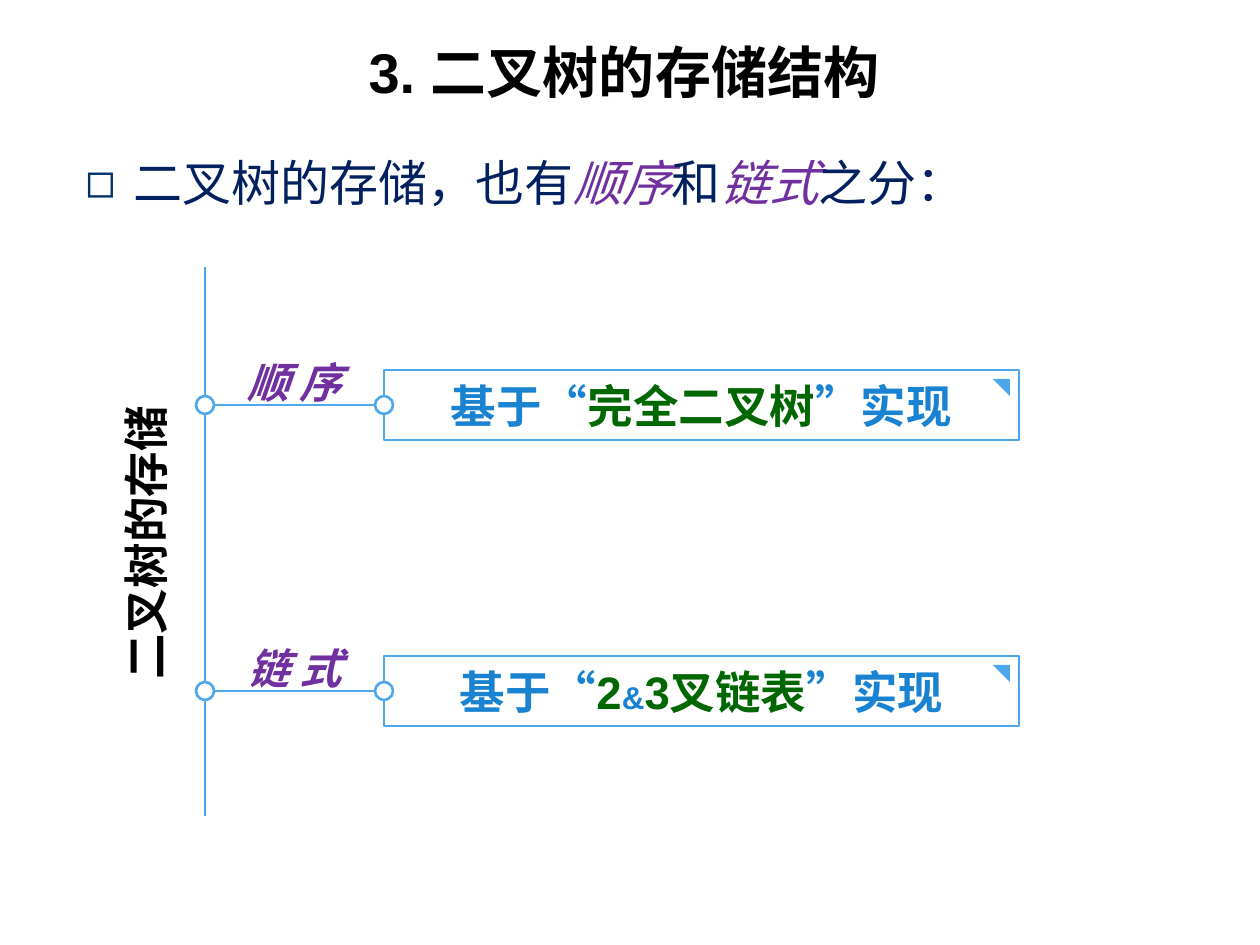
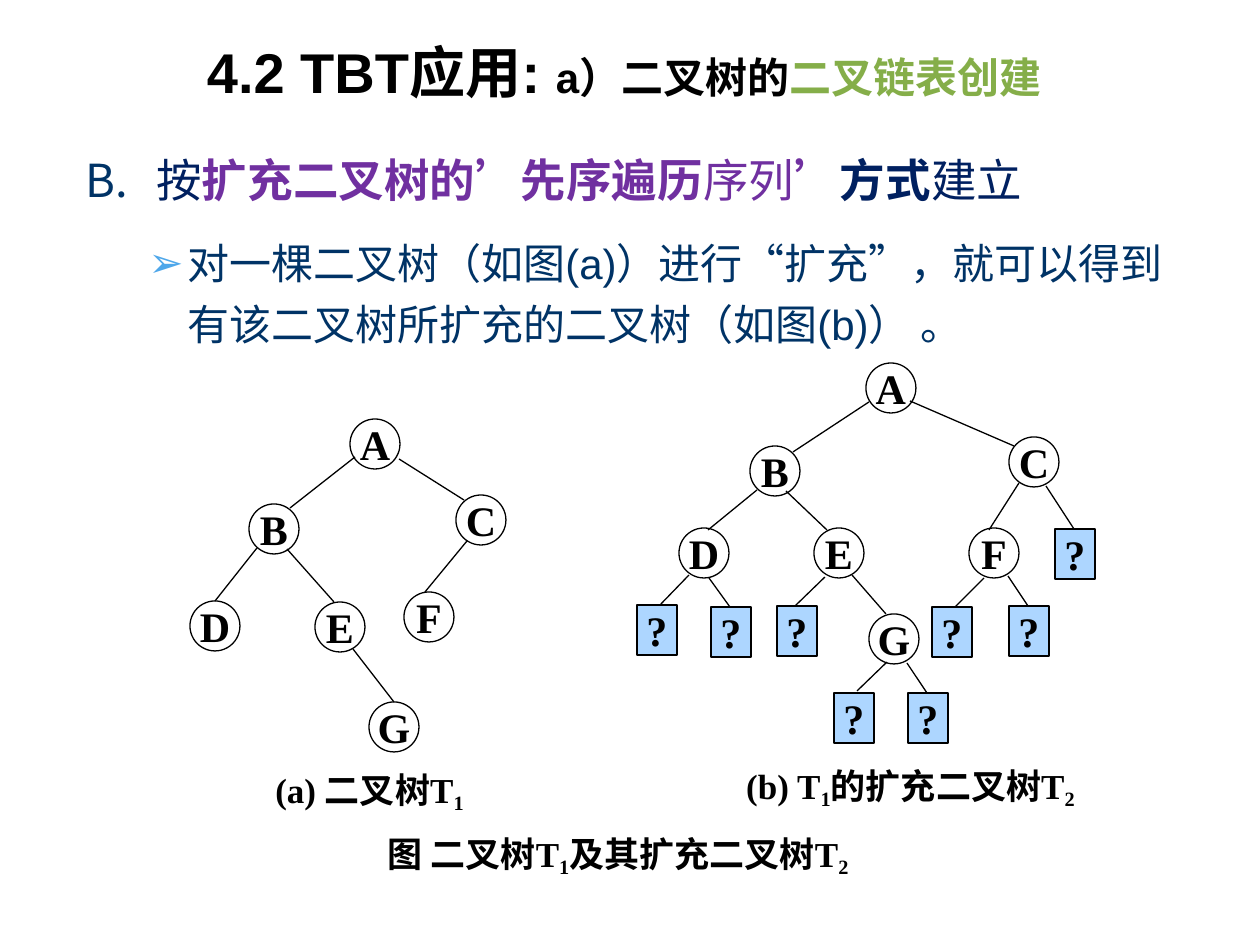
from pptx import Presentation
from pptx import util as u
from pptx.dml.color import RGBColor
from pptx.enum import shapes, text
from pptx.oxml.ns import qn
from lxml import etree

PX = 914400 / 126
HUES = dict(ink="000000", paper="FFFFFF", navy="002060", deep="003366",
            sky="4EA7EA", blue="1982D1", plum="7030A0", green="006600",
            leaf="85AE49", pale="ADD6FF")
SERIF = "Times New Roman"
KIND = shapes.MSO_SHAPE
TITLE = (136, 38, 976, 67)
BODY = (73, 135, 1129, 747)
SUB = dict(face=SERIF, sub=True)

TREE_A = [
    ("A", 350, 419, None),
    ("B", 249, 504, (355, 457, 290, 508)),
    ("C", 456, 495, (399, 459, 464, 500)),
    ("D", 190, 601, (257, 548, 215, 601)),
    ("E", 315, 602, (287, 549, 334, 602)),
    ("F", 404, 592, (467, 541, 425, 592)),
    ("G", 369, 702, (353, 649, 394, 702)),
]
TREE_B = [
    ("A", 866, 363, None),
    ("B", 750, 446, (869, 402, 793, 452)),
    ("C", 1009, 437, (910, 401, 1014, 446)),
    ("D", 679, 528, (757, 490, 708, 530)),
    ("E", 814, 528, (786, 491, 827, 530)),
    ("F", 969, 528, (1019, 483, 989, 530)),
    ("G", 869, 614, (852, 575, 886, 614)),
    ("?", 1055, 529, (1046, 486, 1074, 529)),
    ("?", 637, 605, (689, 575, 660, 605)),
    ("?", 711, 607, (709, 578, 730, 607)),
    ("?", 777, 606, (825, 577, 795, 606)),
    ("?", 932, 607, (984, 578, 955, 607)),
    ("?", 1009, 606, (1008, 576, 1028, 606)),
    ("?", 834, 693, (887, 662, 857, 691)),
    ("?", 908, 693, (907, 663, 927, 693)),
]


def px(*sizes):
    """Turn px lengths into EMU."""
    return [u.Emu(round(size * PX)) for size in sizes]


def rgb(hue):
    """Look up a colour by name."""
    return RGBColor.from_string(HUES[hue])


def style(font, face="Arial", size=24, hue="ink", bold=False, slant=False, sub=False):
    """Set every trait of a font."""
    font.name, font.size = face, u.Pt(size)
    font.bold, font.italic = bold, slant
    font.color.rgb = rgb(hue)


class Deck:
    """Hold the style and the current slide."""

    def __init__(self):
        """Start an empty deck."""
        self.prs = Presentation()
        self.prs.slide_width, self.prs.slide_height = px(1260, 945)

    def page(self, *runs):
        """Add a blank slide with a centred title."""
        self.slide = self.prs.slides.add_slide(self.prs.slide_layouts[6])
        self.label(TITLE, runs, size=32, bold=True)

    def fill(self, par, runs, align=text.PP_ALIGN.CENTER, lead=None, **base):
        """Write runs, each a text and its own traits, into a paragraph."""
        par.alignment = align
        if lead:
            par.line_spacing = lead
        style(par.font, **base)
        for words, own in runs:
            run = par.add_run()
            run.text = words
            traits = {**base, **own}
            style(run.font, **traits)
            if traits.get("sub"):
                run._r.get_or_add_rPr().set("baseline", "-20000")

    def frame(self, shape, inset=None, wrap=True, anchor=text.MSO_ANCHOR.MIDDLE):
        """Prepare the text frame of a shape."""
        frame = shape.text_frame
        frame.word_wrap, frame.vertical_anchor = wrap, anchor
        if inset is not None:
            frame.margin_left = frame.margin_right = u.Emu(inset)
            frame.margin_top = frame.margin_bottom = u.Emu(inset)
        return frame

    def label(self, box, runs, inset=None, wrap=True, **traits):
        """Add a text box of one paragraph."""
        shape = self.slide.shapes.add_textbox(*px(*box))
        self.fill(self.frame(shape, inset, wrap).paragraphs[0], runs, **traits)
        return shape

    def body(self):
        """Add the main text box."""
        shape = self.slide.shapes.add_textbox(*px(*BODY))
        return self.frame(shape, anchor=text.MSO_ANCHOR.TOP)

    def item(self, par, runs, left, hang, mark, tint="deep", level=0, **base):
        """Write a bulleted or lettered paragraph."""
        par.level, par.space_before = level, u.Pt(12)
        self.fill(par, runs, text.PP_ALIGN.LEFT, 1.2, **base)
        props = par._p.get_or_add_pPr()
        left, hang = px(left, hang)
        props.set("marL", str(left))
        props.set("indent", str(-hang))
        tag, traits = mark
        bullet = etree.Element(qn("a:buClr"))
        etree.SubElement(bullet, qn("a:srgbClr"), val=HUES[tint])
        font = etree.Element(qn("a:buFont"), typeface="Arial")
        for spot, part in enumerate((bullet, font, etree.Element(qn(tag), traits))):
            props.insert(len(props) - 1, part)

    def shape(self, kind, box, fill=None, line=None, width=1.5):
        """Add a preset shape."""
        shape = self.slide.shapes.add_shape(kind, *px(*box))
        shape.shadow.inherit = False
        if fill:
            shape.fill.solid()
            shape.fill.fore_color.rgb = rgb(fill)
        else:
            shape.fill.background()
        if line:
            shape.line.color.rgb = rgb(line)
            shape.line.width = u.Pt(width)
        else:
            shape.line.fill.background()
        return shape

    def line(self, ends, hue="ink", width=0.75):
        """Add a straight line."""
        line = self.slide.shapes.add_connector(shapes.MSO_CONNECTOR.STRAIGHT, *px(*ends))
        line.line.color.rgb, line.line.width = rgb(hue), u.Pt(width)
        etree.SubElement(line._element.spPr, qn("a:effectLst"))
        return line

    def branch(self, top, name, runs):
        """Add a named branch that ends in a box."""
        mid = top + 35
        box = self.shape(KIND.RECTANGLE, (384, top, 635, 70), "paper", "sky")
        self.fill(self.frame(box, 0).paragraphs[0], runs, size=26, hue="blue", bold=True)
        flag = self.shape(KIND.RIGHT_TRIANGLE, (993, top + 9, 17, 17), "sky")
        flag.rotation = 180
        self.line((384, mid, 195, mid), "sky", 1.5).begin_connect(box, 1)
        for x in (205, 384):
            self.shape(KIND.OVAL, (x - 9, mid - 9, 18, 18), "paper", "sky")
        self.label((205, mid - 62, 179, 62), [(name, {})], 0, lead=1.3,
                   hue="plum", bold=True, slant=True)

    def tree(self, nodes):
        """Draw nodes, each with the line from its parent."""
        for name, x, y, edge in nodes:
            if name == "?":
                node = self.shape(KIND.RECTANGLE, (x, y, 40, 50), "pale", "ink", 0.75)
            else:
                node = self.shape(KIND.OVAL, (x, y, 50, 50), None, "ink", 0.75)
            self.fill(self.frame(node, wrap=False).paragraphs[0], [(name, {})],
                      face=SERIF, bold=True)
            if edge:
                self.line(edge)


def store(deck):
    """Build the slide on storage structures."""
    deck.page(("3. 二叉树的存储结构", {}))
    term = dict(hue="plum", slant=True)
    deck.item(deck.body().paragraphs[0],
              [("二叉树的存储，也有", {}), ("顺序", term), ("和", {}),
               ("链式", term), ("之分：", {})],
              48, 48, ("a:buChar", {"char": "◻"}), size=28, hue="navy")
    deck.line((205, 267, 205, 816), "sky", 1.5)
    key = dict(hue="green")
    deck.branch(370, "顺 序", [("基于“", {}), ("完全二叉树", key), ("”实现", {})])
    deck.branch(656, "链 式", [("基于“", {}), ("2", key), ("&", dict(size=18)),
                             ("3叉链表", key), ("”实现", {})])
    side = deck.label((105, 403, 81, 289), [("二叉树的存储", {})], wrap=False,
                      align=text.PP_ALIGN.LEFT, size=26, bold=True)
    side.text_frame.auto_size = text.MSO_AUTO_SIZE.SHAPE_TO_FIT_TEXT
    side.text_frame._txBody.bodyPr.set("vert", "vert270")


def extend(deck):
    """Build the slide on extended trees."""
    deck.page(("4.2 TBT应用: ", {}), ("a）二叉树的", dict(size=24)),
              ("二叉链表创建", dict(size=24, hue="leaf")))
    frame = deck.body()
    plum = dict(hue="plum")
    loud = dict(hue="plum", bold=True)
    deck.item(frame.paragraphs[0],
              [("按", {}), ("扩充二叉树的’先序遍历", loud), ("序列", plum),
               ("’", loud), ("方式", dict(bold=True)), ("建立", {})],
              71, 71, ("a:buAutoNum", {"type": "alphaUcPeriod", "startAt": "2"}),
              size=26, hue="navy")
    deck.item(frame.add_paragraph(),
              [("对一棵二叉树（如图(a)）进行“扩充”，就可以得到"
                "有该二叉树所扩充的二叉树（如图(b)） 。", {})],
              102, 39, ("a:buChar", {"char": "➢"}), "sky", 1, hue="deep")
    deck.tree(TREE_A)
    deck.tree(TREE_B)
    serif = dict(face=SERIF)
    for box, runs in (
        ((231, 765, 277, 53),
         [("(a) ", serif), ("二叉树", {}), ("T", serif), ("1", SUB)]),
        ((707, 761, 407, 53),
         [("(b) T", serif), ("1", SUB), ("的扩充", {}), ("二叉树T", serif), ("2", SUB)]),
        ((320, 829, 596, 53),
         [("图 二叉树", {}), ("T", serif), ("1", SUB), ("及其扩充", {}),
          ("二叉树T", serif), ("2", SUB)]),
    ):
        deck.label(box, runs, size=20, bold=True)


def main():
    """Build and save the deck."""
    deck = Deck()
    store(deck)
    extend(deck)
    deck.prs.save("out.pptx")


if __name__ == "__main__":
    main()
